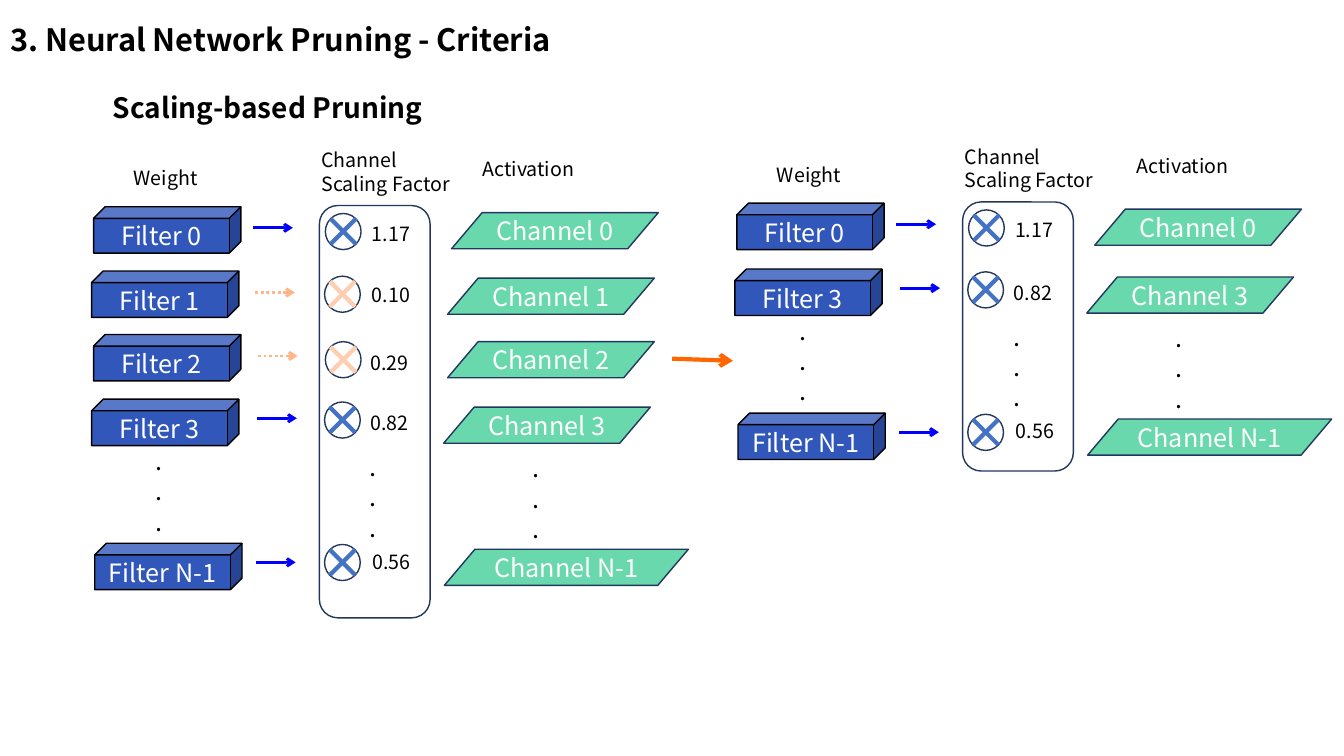
from lxml import etree
from pptx import Presentation
from pptx.dml.color import RGBColor
from pptx.enum.dml import MSO_LINE
from pptx.enum.shapes import MSO_CONNECTOR, MSO_SHAPE
from pptx.enum.text import MSO_ANCHOR, MSO_AUTO_SIZE, PP_ALIGN
from pptx.oxml.ns import qn
from pptx.util import Cm, Pt

STRAIGHT = MSO_CONNECTOR.STRAIGHT
DOTTED = MSO_LINE.ROUND_DOT
CUBE, PARALLELOGRAM = MSO_SHAPE.CUBE, MSO_SHAPE.PARALLELOGRAM
ROUNDED, OVAL = MSO_SHAPE.ROUNDED_RECTANGLE, MSO_SHAPE.OVAL
TOP, MIDDLE = MSO_ANCHOR.TOP, MSO_ANCHOR.MIDDLE
LEFT, CENTER = PP_ALIGN.LEFT, PP_ALIGN.CENTER
FIXED = MSO_AUTO_SIZE.NONE

FONT = "Noto Sans CJK KR"
COLORS = {
    "black": "000000",
    "white": "FFFFFF",
    "filter": "3057B9",
    "channel": "69D8AD",
    "outline": "21375E",
    "flow": "0000FF",
    "pruned_flow": "FFB689",
    "cross": "4472C4",
    "pruned_cross": "FFCEB0",
    "result": "FF6600",
}


def write(text, shape, size=14, color="black", bold=False, align=LEFT, anchor=TOP):
    frame = shape.text_frame
    frame.word_wrap = True
    frame.auto_size = FIXED
    frame.vertical_anchor = anchor
    for index, line in enumerate(text.split("\n")):
        paragraph = frame.paragraphs[0] if index == 0 else frame.add_paragraph()
        paragraph.alignment = align
        paragraph.space_before = Pt(0)
        run = paragraph.add_run()
        run.text = line
        run.font.name = FONT
        run.font.size = Pt(size)
        run.font.bold = bold
        run.font.color.rgb = RGBColor.from_string(COLORS[color])


def draw_line(x1, y1, x2, y2, color, width, arrow=False, dotted=False):
    connector = slide.shapes.add_connector(STRAIGHT, Cm(x1), Cm(y1), Cm(x2), Cm(y2))
    connector.line.color.rgb = RGBColor.from_string(COLORS[color])
    connector.line.width = Pt(width)
    if dotted:
        connector.line.dash_style = DOTTED
    if arrow:
        outline = connector.line._get_or_add_ln()
        etree.SubElement(outline, qn("a:tailEnd"), type="arrow")
    etree.SubElement(connector._element.spPr, qn("a:effectLst"))


presentation = Presentation()
presentation.slide_width = Cm(33.87)
presentation.slide_height = Cm(19.05)
slide = presentation.slides.add_slide(presentation.slide_layouts[1])

title = slide.shapes.title
title.left, title.top, title.width, title.height = Cm(0), Cm(0), Cm(33.87), Cm(2)
write("3. Neural Network Pruning - Criteria", title, size=22, bold=True, anchor=MIDDLE)

subtitle = slide.placeholders[1]
subtitle.left, subtitle.top = Cm(2.59), Cm(2.16)
subtitle.width, subtitle.height = Cm(20.8), Cm(1.09)
properties = subtitle.text_frame.paragraphs[0]._p.get_or_add_pPr()
properties.set("marL", "0")
properties.set("indent", "0")
etree.SubElement(properties, qn("a:buNone"))
write("Scaling-based Pruning", subtitle, size=20, bold=True)

ROWS = {
    "0": ("1.17", (2.36, 5.21), (6.38, 5.74), (8.2, 5.38), (9.12, 5.46), (11.38, 5.36)),
    "1": ("0.10", (2.31, 6.83), (6.43, 7.37), (8.18, 6.96), (9.12, 7.01), (11.28, 7.01)),
    "2": ("0.29", (2.36, 8.43), (6.5, 8.97), (8.2, 8.61), (9.09, 8.71), (11.28, 8.61)),
    "3": ("0.82", (2.31, 10.06), (6.48, 10.54), (8.18, 10.13), (9.09, 10.24), (11.18, 10.26)),
    "N-1": ("0.56", (2.39, 13.69), (6.45, 14.17), (8.18, 13.72), (9.14, 13.72), (11.2, 13.84)),
}
PRUNED = ("1", "2")
DOTS = [(3.68, 11.1), (9.07, 11.25), (13.16, 11.28)]
PANELS = [
    {"names": ["0", "1", "2", "3", "N-1"], "dx": 0, "head_dy": 0, "rest_dy": 0,
     "frame_height": 10.39, "activation_x": 11.91},
    {"names": ["0", "3", "N-1"], "dx": 16.21, "head_dy": -0.09, "rest_dy": -3.28,
     "frame_height": 6.78, "activation_x": 28.4},
]

for panel in PANELS:
    dx, head_dy, rest_dy = panel["dx"], panel["head_dy"], panel["rest_dy"]
    labels = [
        ("Weight", 3.12 + dx, 4.06 + head_dy, 2.82, 0.81),
        ("Channel\nScaling Factor", 7.85 + dx, 3.61 + head_dy, 5, 1.45),
        ("Activation", panel["activation_x"], 3.84 + head_dy, 5, 0.81),
    ]
    shapes = [(ROUNDED, 8.05 + dx, 5.18 + head_dy, 2.79, panel["frame_height"],
               0.167, None, "outline", "")]
    lines = []

    for name in panel["names"]:
        value, *places = ROWS[name]
        dy = head_dy if name == "0" else rest_dy
        filter_at, arrow_at, circle_at, value_at, channel_at = [
            (x + dx, y + dy) for x, y in places]
        pruned = name in PRUNED
        channel_width = 6.15 if name == "N-1" else 5.21
        shapes += [
            (CUBE, *filter_at, 3.71, 1.17, 0.25, "filter", "black", f"Filter {name}"),
            (OVAL, *circle_at, 0.9, 0.91, None, None, "outline", ""),
            (PARALLELOGRAM, *channel_at, channel_width, 0.91, 0.847,
             "channel", "outline", f"Channel {name}"),
        ]
        labels.append((value, *value_at, 1.65, 0.81))

        x, y = arrow_at
        flow = "pruned_flow" if pruned else "flow"
        lines.append((x, y, x + 1, y, flow, 2, True, pruned))
        left, top = circle_at[0] + 0.13, circle_at[1] + 0.13
        right, bottom = left + 0.64, top + 0.64
        cross = "pruned_cross" if pruned else "cross"
        lines.append((left, top, right, bottom, cross, 3))
        lines.append((right, top, left, bottom, cross, 3))

    for kind, x, y, width, height, adjustment, fill, outline, text in shapes:
        shape = slide.shapes.add_shape(kind, Cm(x), Cm(y), Cm(width), Cm(height))
        shape.shadow.inherit = False
        if adjustment:
            shape.adjustments[0] = adjustment
        if fill:
            shape.fill.solid()
            shape.fill.fore_color.rgb = RGBColor.from_string(COLORS[fill])
        else:
            shape.fill.background()
        shape.line.color.rgb = RGBColor.from_string(COLORS[outline])
        shape.line.width = Pt(1)
        if text:
            write(text, shape, size=18, color="white", align=CENTER, anchor=MIDDLE)

    for line in lines:
        draw_line(*line)

    for text, x, y, width, height in labels:
        write(text, slide.shapes.add_textbox(Cm(x), Cm(y), Cm(width), Cm(height)))

    for x, y in DOTS:
        dots = slide.shapes.add_textbox(Cm(x + dx), Cm(y + rest_dy), Cm(2.03), Cm(2.51))
        write(".\n.\n.", dots, size=18)

draw_line(16.94, 9.04, 18.47, 9.09, "result", 3, arrow=True)

presentation.save("out.pptx")
